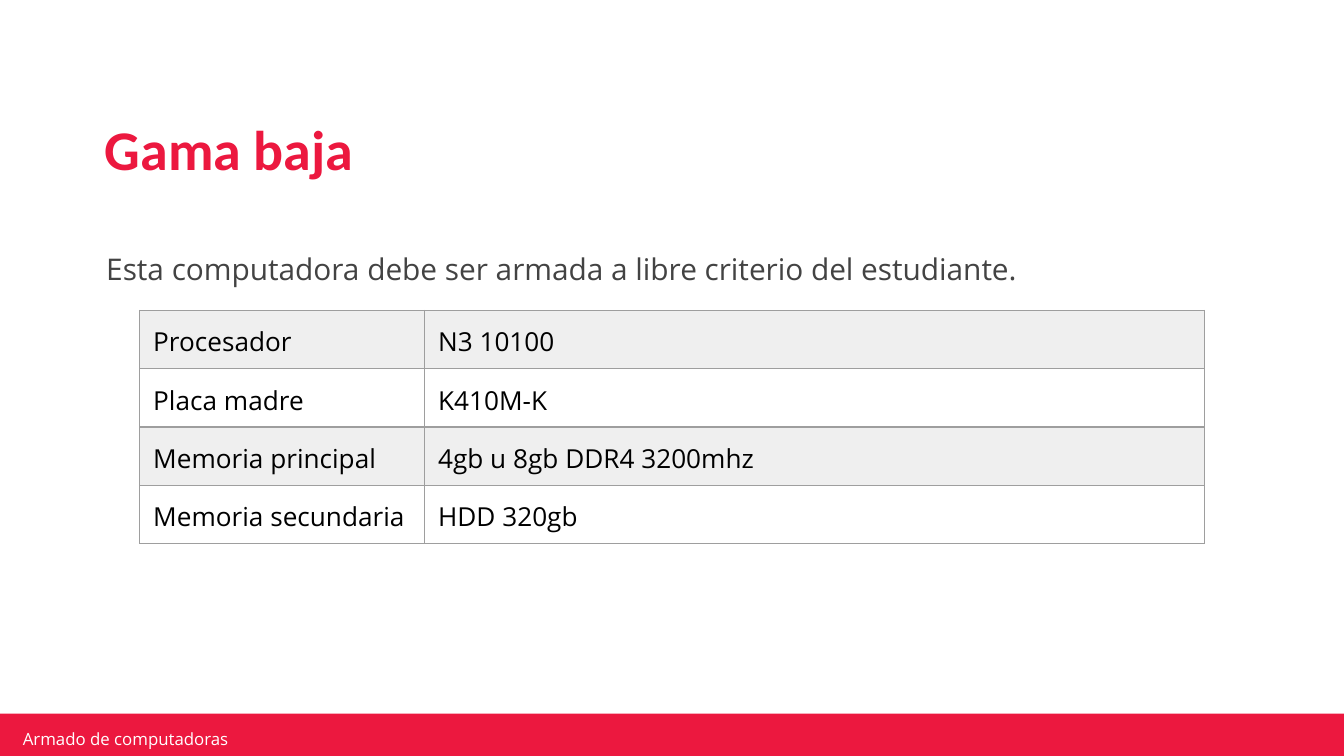
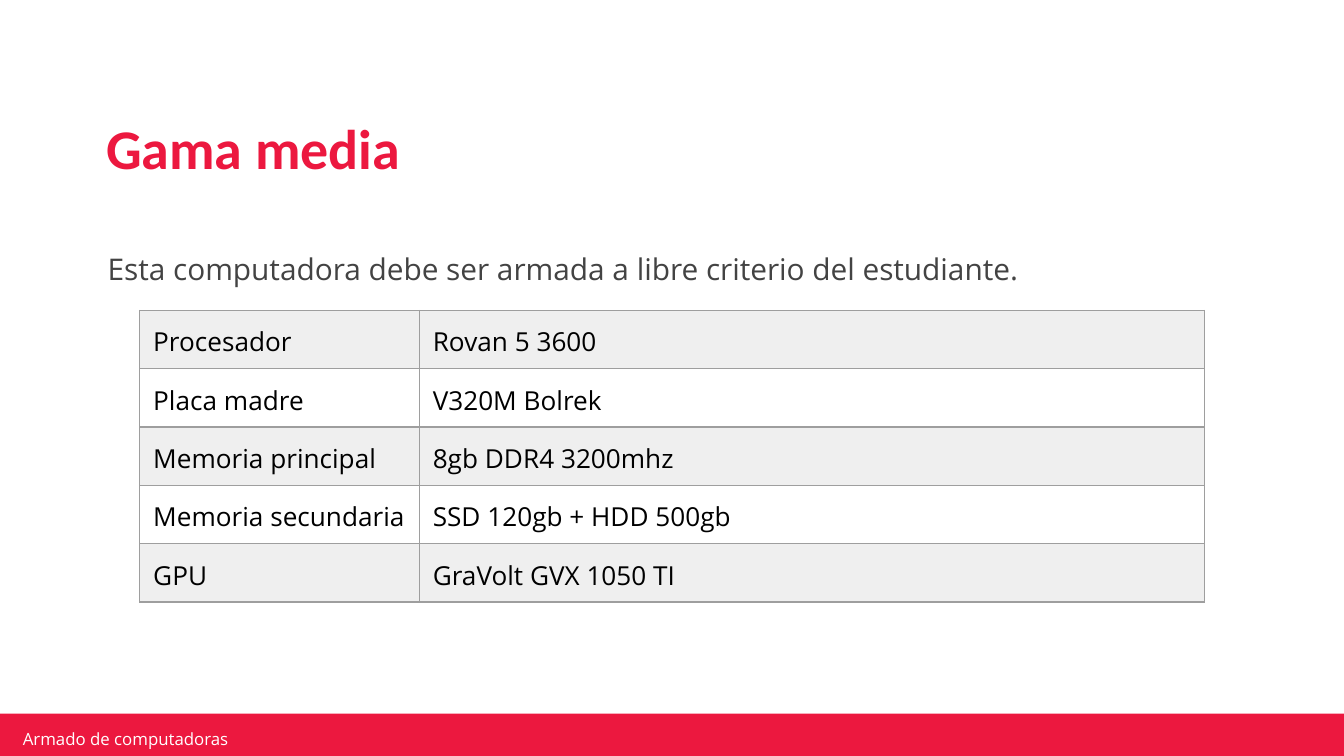
import pptx
import pptx.util
import pptx.dml.color
import pptx.enum.shapes
import pptx.enum.text
import pptx.oxml
import pptx.oxml.ns

Inches = pptx.util.Inches
Pt = pptx.util.Pt
RGBColor = pptx.dml.color.RGBColor
ANCHOR = pptx.enum.text.MSO_ANCHOR

RED = RGBColor(0xEC, 0x18, 0x3F)
WHITE = RGBColor(0xFF, 0xFF, 0xFF)
BLACK = RGBColor(0x00, 0x00, 0x00)
DARK_GRAY = RGBColor(0x43, 0x43, 0x43)
LIGHT_GRAY = RGBColor(0xEF, 0xEF, 0xEF)
BORDER_GRAY = RGBColor(0x9E, 0x9E, 0x9E)

TABLE_WIDTH = 7.92
ROW_HEIGHT = 0.42
INTRO = "Esta computadora debe ser armada a libre criterio del estudiante."

SLIDES = [
    ("Gama baja", 0.69, 0.67, 2.12, [
        ("Procesador", "N3 10100"),
        ("Placa madre", "K410M-K"),
        ("Memoria principal", "4gb u 8gb DDR4 3200mhz"),
        ("Memoria secundaria", "HDD 320gb"),
    ]),
    ("Gama media", 0.7, 0.66, 2.08, [
        ("Procesador", "Rovan 5 3600"),
        ("Placa madre", "V320M Bolrek"),
        ("Memoria principal", "8gb DDR4 3200mhz"),
        ("Memoria secundaria", "SSD 120gb + HDD 500gb"),
        ("GPU", "GraVolt GVX 1050 TI"),
    ]),
]


def write_text(box, text, size, color, font="Open Sans", bold=False,
               anchor=ANCHOR.TOP, spacing=1.0, margins=(0.1, 0.05)):
    box.vertical_anchor = anchor
    box.margin_left = box.margin_right = Inches(margins[0])
    box.margin_top = box.margin_bottom = Inches(margins[1])
    tf = getattr(box, "text_frame", box)
    p = tf.paragraphs[0]
    p.alignment = pptx.enum.text.PP_ALIGN.LEFT
    p.line_spacing = spacing
    p.space_before = Pt(0)
    r = p.add_run()
    r.text = text
    r.font.name = font
    r.font.size = Pt(size)
    r.font.bold = bold
    r.font.color.rgb = color


def set_borders(cell):
    tcPr = cell._tc.get_or_add_tcPr()
    for side in ("lnL", "lnR", "lnT", "lnB"):
        tcPr.append(pptx.oxml.parse_xml(
            f'<a:{side} {pptx.oxml.ns.nsdecls("a")} w="{Pt(0.75)}">'
            f'<a:solidFill><a:srgbClr val="{BORDER_GRAY}"/></a:solidFill>'
            f'</a:{side}>'))


prs = pptx.Presentation()
prs.slide_width = Inches(10)
prs.slide_height = prs.slide_width * 9 // 16

for heading, left, top, label_width, rows in SLIDES:
    s = prs.slides.add_slide(prs.slide_layouts[1])

    band = s.shapes.add_shape(pptx.enum.shapes.MSO_SHAPE.RECTANGLE,
                              Inches(-0.02), Inches(5.31), Inches(10.03), Inches(0.36))
    band.shadow.inherit = False
    band.fill.solid()
    band.fill.fore_color.rgb = RED
    band.line.fill.background()

    footer = s.shapes.add_textbox(Inches(0.12), Inches(5.42), Inches(2.39), Inches(0.15))
    footer.text_frame.word_wrap = True
    write_text(footer.text_frame, "Armado de computadoras", size=9, color=WHITE,
               anchor=ANCHOR.MIDDLE, margins=(0.05, 0.02))

    title = s.shapes.title
    title.left, title.top = Inches(left), Inches(top)
    title.width, title.height = Inches(8.4), Inches(0.93)
    title.text_frame.auto_size = pptx.enum.text.MSO_AUTO_SIZE.NONE
    write_text(title.text_frame, heading, size=30, color=RED, font="Calibri", bold=True,
               anchor=ANCHOR.MIDDLE, spacing=0.9, margins=(0.09, 0.04))

    table = s.shapes.add_table(len(rows), 2, Inches(1.04), Inches(2.31),
                               Inches(TABLE_WIDTH), Inches(ROW_HEIGHT * len(rows))).table
    table.columns[0].width = Inches(label_width)
    table.columns[1].width = Inches(TABLE_WIDTH - label_width)
    table.first_row = False
    table.horz_banding = False
    for i, row in enumerate(rows):
        table.rows[i].height = Inches(ROW_HEIGHT)
        for j, text in enumerate(row):
            cell = table.cell(i, j)
            write_text(cell, text, size=14, color=BLACK, margins=(0.1, 0.1))
            set_borders(cell)
            cell.fill.solid()
            cell.fill.fore_color.rgb = WHITE if i % 2 else LIGHT_GRAY

    body = s.placeholders[1]
    body.left, body.top = Inches(left), Inches(1.68)
    body.width, body.height = Inches(8.83), Inches(0.3)
    body.text_frame.auto_size = pptx.enum.text.MSO_AUTO_SIZE.NONE
    write_text(body.text_frame, INTRO, size=16, color=DARK_GRAY, spacing=1.5)
    pPr = body.text_frame.paragraphs[0]._p.get_or_add_pPr()
    pPr.set("marL", "0")
    pPr.set("indent", "0")
    pPr.append(pptx.oxml.parse_xml(f'<a:buNone {pptx.oxml.ns.nsdecls("a")}/>'))

prs.save("out.pptx")
